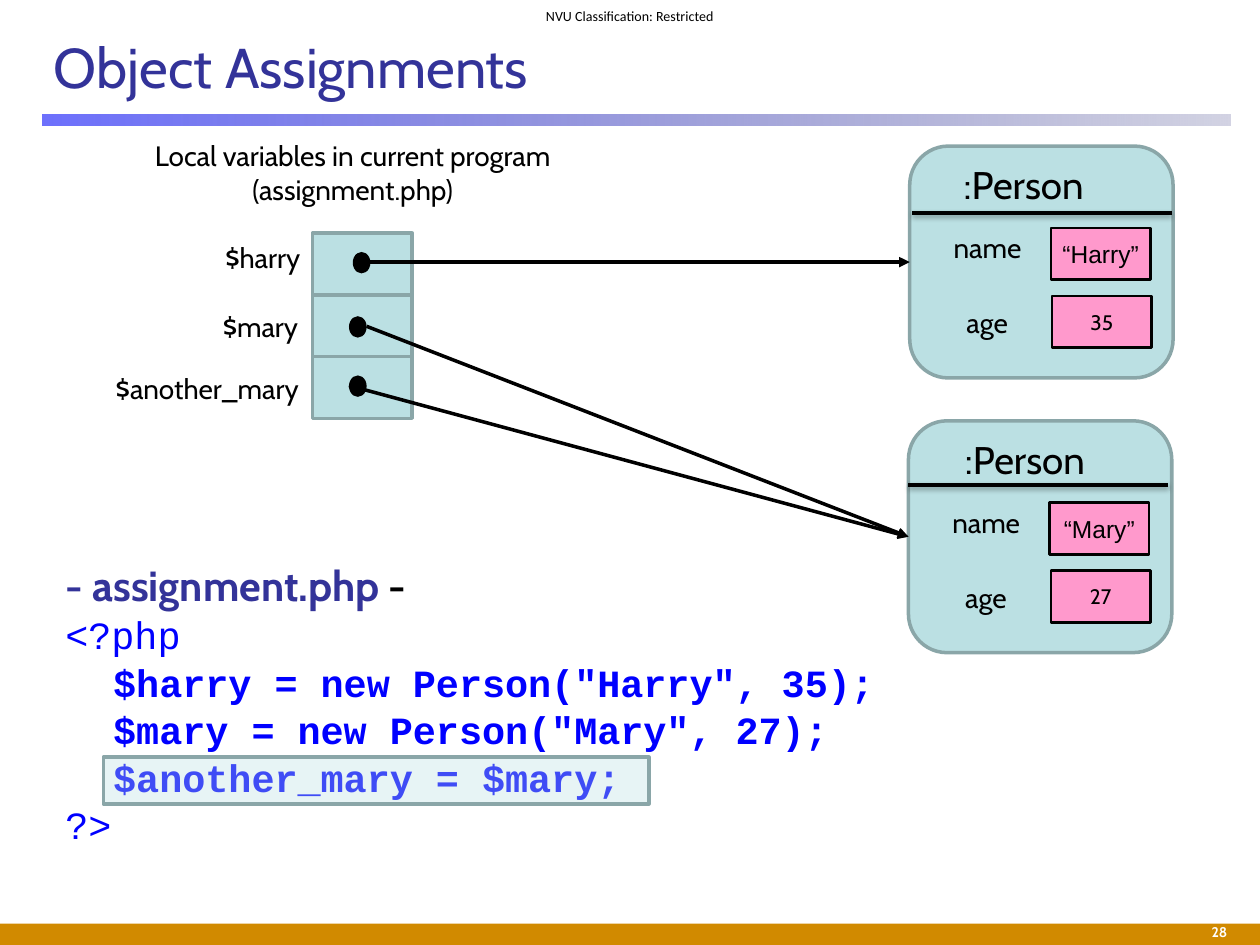
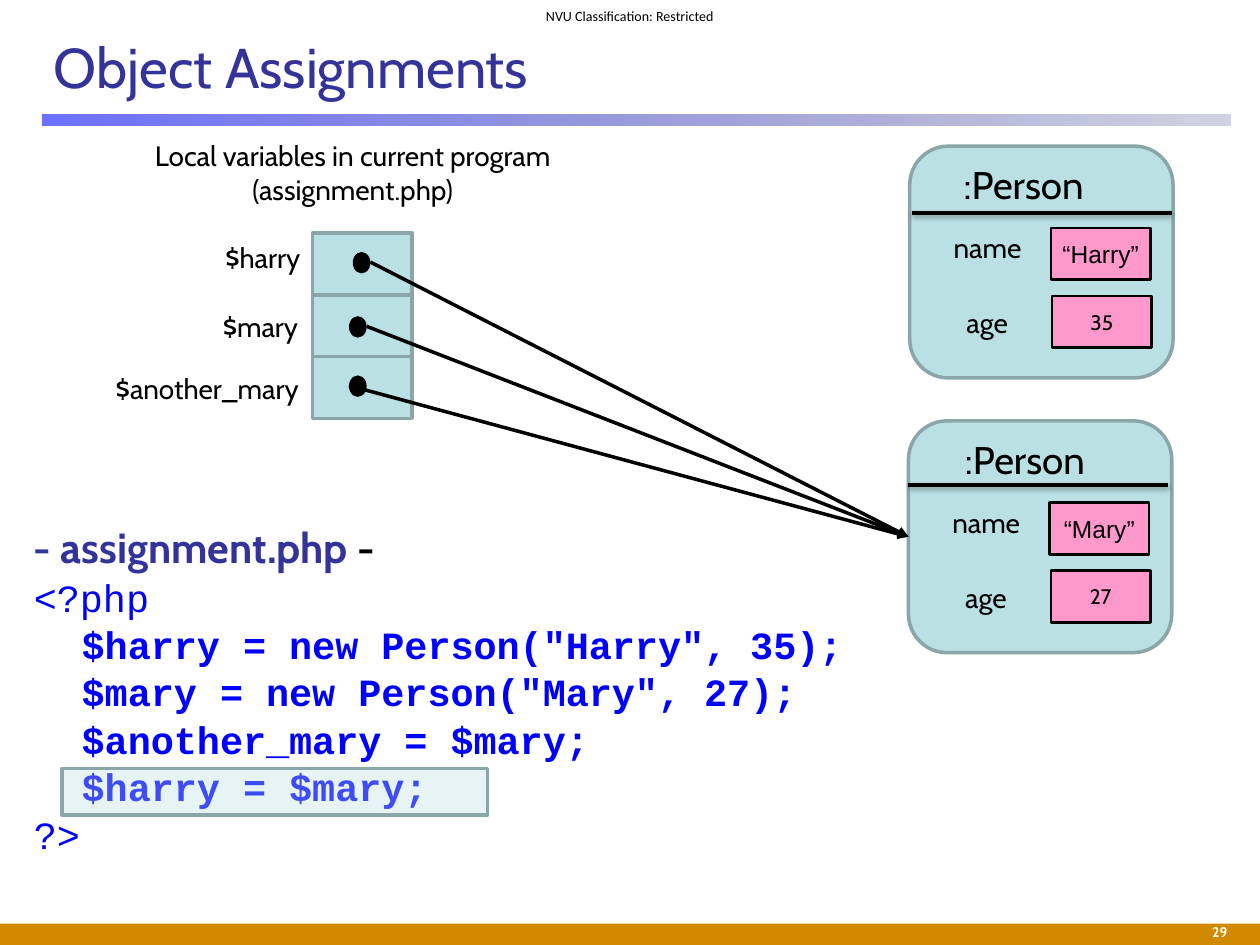
from dataclasses import dataclass

from lxml.etree import SubElement
from pptx import Presentation
from pptx.dml.color import RGBColor
from pptx.enum.shapes import MSO_CONNECTOR, MSO_SHAPE
from pptx.enum.text import MSO_ANCHOR, PP_ALIGN
from pptx.oxml.ns import qn
from pptx.shapes.autoshape import Shape
from pptx.shapes.connector import Connector
from pptx.slide import Slide
from pptx.text.text import _Paragraph as Paragraph
from pptx.util import Inches, Pt

BLACK, WHITE = "000000", "FFFFFF"
INDIGO, CODE_BLUE = "333399", "0000FF"
TEAL, TEAL_EDGE, PINK = "BBE0E3", "8AA6A8", "FF99CC"
FOOTER_GOLD = "D18A00"
RULE_GRADIENT = (("464AFC", 79), ("202275", 20))
BODY_FONT, CODE_FONT, VALUE_FONT, LABEL_FONT = "Cabin", "Courier New", "Arial", "Calibri"
LEFT_SIDE = 1

Box = tuple[float, float, float, float]
Point = tuple[float, float]


@dataclass(frozen=True)
class Variable:
    name: str
    label: Box
    dot: Point
    arrow_left: float


@dataclass(frozen=True)
class Person:
    name: str
    age: str
    corner: Point
    heading_left: float
    divider: Point


@dataclass(frozen=True)
class Lesson:
    number: int
    targets: tuple[str, ...]
    code_box: Box
    statements: tuple[str, ...]
    highlight: Box


VARIABLES = (
    Variable("$harry", (1.69, 1.86, 1.03, 0.37), (2.8, 2), 2.94),
    Variable("$mary", (1.67, 2.41, 1.03, 0.37), (2.77, 2.51), 2.91),
    Variable("$another_mary", (0.82, 2.9, 1.84, 0.37), (2.77, 2.98), 2.77),
)
PERSONS = (
    Person("Harry", "35", (7.22, 1.16), 0.33, (0.02, 0.53)),
    Person("Mary", "27", (7.21, 3.34), 0.35, (0, 0.51)),
)
STATEMENTS = (
    '$harry = new Person("Harry", 35);',
    '$mary = new Person("Mary", 27);',
    "$another_mary = $mary;",
)
LESSONS = (
    Lesson(28, ("Harry", "Mary", "Mary"), (0.42, 4.47, 8.88, 1.84),
           STATEMENTS, (0.82, 6.01, 4.33, 0.37)),
    Lesson(29, ("Mary", "Mary", "Mary"), (0.17, 4.17, 8.88, 1.81),
           STATEMENTS + ("$harry = $mary;",), (0.49, 6.1, 3.38, 0.37)),
)


def rgb(color: str) -> RGBColor:
    return RGBColor.from_string(color)


def set_alphas(shape: Shape, *percents: int) -> None:
    """Give the fill colours of a shape their opacity, in order."""
    for color, percent in zip(shape._element.spPr.iter(qn("a:srgbClr")), percents):
        SubElement(color, qn("a:alpha"), val=str(percent * 1000))


def add_run(paragraph: Paragraph, text: str, size: float, color: str = BLACK,
            font: str = BODY_FONT, bold: bool = False) -> None:
    run = paragraph.add_run()
    run.text = text
    run.font.size = Pt(size)
    run.font.name = font
    run.font.bold = bold
    run.font.color.rgb = rgb(color)


def add_text(slide: Slide, box: Box, text: str, size: float, color: str = BLACK,
             font: str = BODY_FONT, bold: bool = False,
             align: PP_ALIGN = PP_ALIGN.LEFT,
             anchor: MSO_ANCHOR = MSO_ANCHOR.TOP) -> None:
    frame = slide.shapes.add_textbox(*map(Inches, box)).text_frame
    frame.word_wrap = True
    frame.vertical_anchor = anchor
    frame.paragraphs[0].alignment = align
    add_run(frame.paragraphs[0], text, size, color, font, bold)


def add_block(slide: Slide, box: Box, fill: str, edge: str | None = None,
              edge_width: float = 2, kind: MSO_SHAPE = MSO_SHAPE.RECTANGLE) -> Shape:
    block = slide.shapes.add_shape(kind, *map(Inches, box))
    block.shadow.inherit = False
    block.fill.solid()
    block.fill.fore_color.rgb = rgb(fill)
    if edge:
        block.line.color.rgb = rgb(edge)
        block.line.width = Pt(edge_width)
    else:
        block.line.fill.background()
    return block


def add_line(slide: Slide, start: Point, end: Point) -> Connector:
    """Draw a black line with an empty effect list as its last property."""
    line = slide.shapes.add_connector(
        MSO_CONNECTOR.STRAIGHT, *map(Inches, start + end))
    line.line.color.rgb = rgb(BLACK)
    line.line.width = Pt(2)
    SubElement(line._element.spPr, qn("a:effectLst"))
    return line


def add_divider(slide: Slide, left: float, top: float) -> None:
    divider = add_line(slide, (left, top), (left + 2.06, top))
    effects = divider._element.spPr.find(qn("a:effectLst"))
    shadow = SubElement(effects, qn("a:outerShdw"), blurRad=str(Pt(3.1)),
                        dist=str(Pt(1.6)), dir=str(90 * 60000), rotWithShape="0")
    color = SubElement(shadow, qn("a:srgbClr"), val=BLACK)
    SubElement(color, qn("a:alpha"), val="38000")


def add_frame(slide: Slide, number: int) -> None:
    """Draw the title, rule, classification and footer that the slides share."""
    add_block(slide, (0, 7.33, 10, 0.17), FOOTER_GOLD)
    rule = add_block(slide, (0.34, 0.91, 9.43, 0.09), INDIGO)
    rule.fill.gradient()
    rule.fill.gradient_angle = 0
    for stop, (color, _) in zip(rule.fill.gradient_stops, RULE_GRADIENT):
        stop.color.rgb = rgb(color)
    set_alphas(rule, *(alpha for _, alpha in RULE_GRADIENT))
    add_text(slide, (4, 0, 2, 0.25), "NVU Classification: Restricted", 8,
             font=LABEL_FONT, align=PP_ALIGN.CENTER, anchor=MSO_ANCHOR.MIDDLE)
    add_text(slide, (0.33, 0.15, 9.42, 0.75), "Object Assignments", 32, INDIGO,
             anchor=MSO_ANCHOR.MIDDLE)
    add_text(slide, (8.42, 7.28, 1.42, 0.2), str(number), 8, WHITE, bold=True,
             align=PP_ALIGN.RIGHT)


def add_code(slide: Slide, lesson: Lesson) -> None:
    frame = slide.shapes.add_textbox(*map(Inches, lesson.code_box)).text_frame
    frame.word_wrap = True

    def next_line(paragraph: Paragraph, indent: float = -0.42) -> Paragraph:
        paragraph.line_spacing = 0.8
        paragraph.space_before = Pt(6)
        properties = paragraph._p.get_or_add_pPr()
        properties.set("marL", str(Inches(0.38)))
        properties.set("indent", str(Inches(indent)))
        return paragraph

    heading = next_line(frame.paragraphs[0])
    add_run(heading, "- assignment.php ", 24, INDIGO, bold=True)
    add_run(heading, "-", 24, bold=True)
    add_run(next_line(frame.add_paragraph()), "<?php", 22, CODE_BLUE, CODE_FONT)
    for statement in lesson.statements:
        add_run(next_line(frame.add_paragraph(), 0), statement, 22, CODE_BLUE,
                CODE_FONT, bold=True)
    add_run(next_line(frame.add_paragraph()), "?>", 22, CODE_BLUE, CODE_FONT)

    set_alphas(add_block(slide, lesson.highlight, TEAL, TEAL_EDGE), 34)


def add_value(slide: Slide, left: float, top: float, text: str, size: float,
              font: str) -> None:
    frame = add_block(slide, (left, top, 0.79, 0.41), PINK, BLACK, 1.5).text_frame
    frame.word_wrap = False
    frame.vertical_anchor = MSO_ANCHOR.MIDDLE
    frame.paragraphs[0].alignment = PP_ALIGN.CENTER
    add_run(frame.paragraphs[0], text, size, font=font)


def add_person(slide: Slide, person: Person) -> Shape:
    left, top = person.corner
    card = add_block(slide, (left, top, 2.09, 1.84), TEAL, TEAL_EDGE,
                     kind=MSO_SHAPE.ROUNDED_RECTANGLE)
    add_text(slide, (left + person.heading_left, top + 0.07, 1.48, 0.47), ":Person", 22)
    add_text(slide, (left + 0.25, top + 0.62, 0.79, 0.37), "name", 16)
    add_text(slide, (left + 0.02, top + 1.22, 1.19, 0.37), "age", 16,
             align=PP_ALIGN.CENTER)
    add_value(slide, left + 1.12, top + 0.65, f"“{person.name}”", 14, VALUE_FONT)
    add_value(slide, left + 1.13, top + 1.19, person.age, 12, BODY_FONT)
    add_divider(slide, left + person.divider[0], top + person.divider[1])
    return card


def add_variables(slide: Slide, targets: list[Shape]) -> None:
    """Draw the column of local variables, each pointing at its target card."""
    add_text(slide, (0.9, 1.05, 3.8, 0.64),
             "Local variables in current program (assignment.php)", 16,
             align=PP_ALIGN.CENTER)
    for row in range(len(VARIABLES)):
        add_block(slide, (2.48, 1.85 + row * 0.49, 0.79, 0.49), TEAL, TEAL_EDGE)
    for variable, card in zip(VARIABLES, targets):
        add_text(slide, variable.label, variable.name, 16)
        add_block(slide, variable.dot + (0.14, 0.17), BLACK, kind=MSO_SHAPE.OVAL)
        start = (variable.arrow_left, variable.dot[1] + 0.08)
        arrow = add_line(slide, start, start)
        arrow.end_connect(card, LEFT_SIDE)
        SubElement(arrow._element.spPr.find(qn("a:ln")), qn("a:tailEnd"),
                   type="triangle")


def main() -> None:
    deck = Presentation()
    deck.slide_width, deck.slide_height = Inches(10), Inches(7.5)
    for lesson in LESSONS:
        slide = deck.slides.add_slide(deck.slide_layouts[6])
        add_frame(slide, lesson.number)
        add_code(slide, lesson)
        cards = {person.name: add_person(slide, person) for person in PERSONS}
        add_variables(slide, [cards[target] for target in lesson.targets])
    deck.save("out.pptx")


if __name__ == "__main__":
    main()
